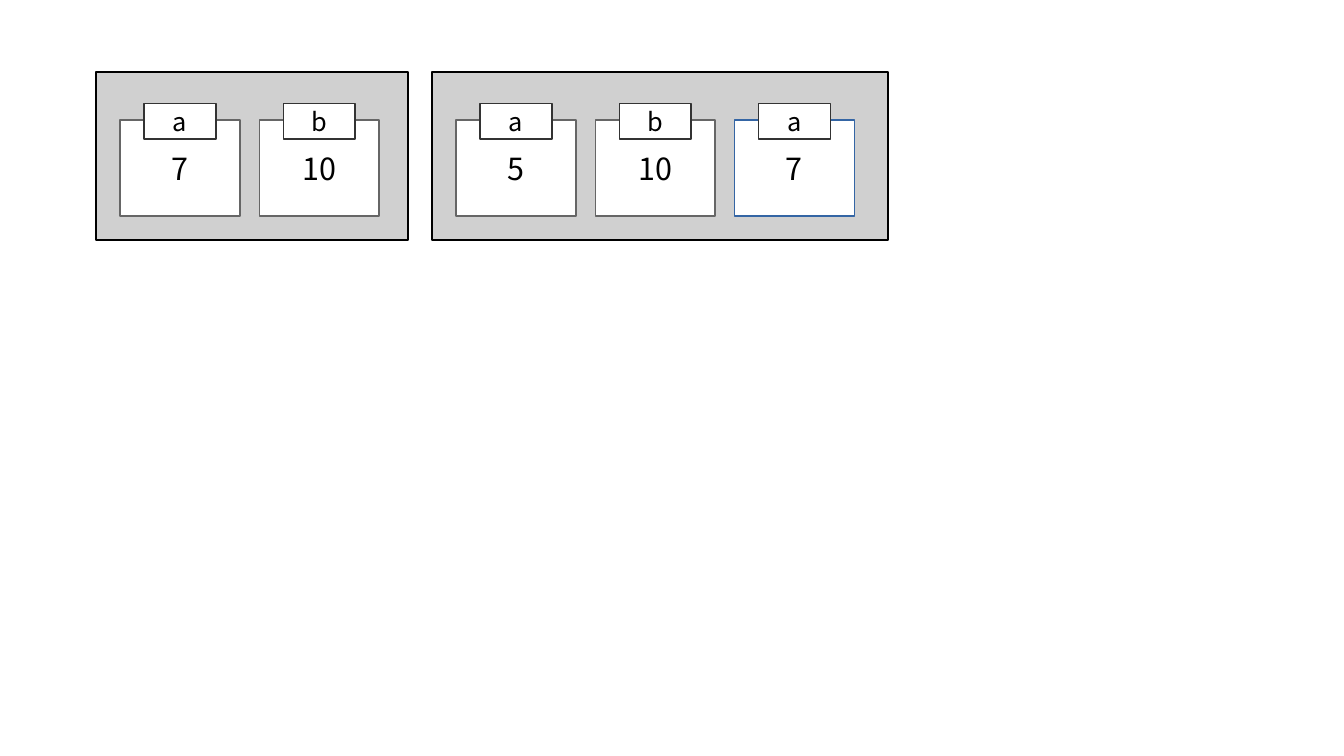
from pptx import Presentation
from pptx.dml.color import RGBColor
from pptx.enum.shapes import MSO_SHAPE as Shape
from pptx.enum.text import MSO_ANCHOR as Anchor, PP_ALIGN as Align
from pptx.util import Cm, Pt

BLACK = RGBColor(0x00, 0x00, 0x00)
WHITE = RGBColor(0xFF, 0xFF, 0xFF)
PANEL_GREY = RGBColor(0xD0, 0xD0, 0xD0)
CARD_GREY = RGBColor(0x66, 0x66, 0x66)
TAG_GREY = RGBColor(0x33, 0x33, 0x33)
BLUE = RGBColor(0x34, 0x65, 0xA4)

COLUMNS, ROWS = 56, 31.5
CARD_PITCH = 5.8


class RecordSlide:
    """Draws records of named values on a grid of half-centimetre cells."""

    font_name = "Noto Sans CJK KR"
    cell = Cm(0.5)

    def __init__(self, presentation):
        presentation.slide_width = int(COLUMNS * self.cell)
        presentation.slide_height = int(ROWS * self.cell)
        self.slide = presentation.slides.add_slide(presentation.slide_layouts[6])

    def box(self, column, row, columns, rows, fill, outline):
        place = (int(n * self.cell) for n in (column, row, columns, rows))
        box = self.slide.shapes.add_shape(Shape.RECTANGLE, *place)
        box.shadow.inherit = False
        box.fill.solid()
        box.fill.fore_color.rgb = fill
        box.line.color.rgb = outline
        box.line.width = Pt(0)
        return box

    def label(self, box, text, size):
        frame = box.text_frame
        frame.word_wrap = True
        frame.vertical_anchor = Anchor.MIDDLE
        paragraph = frame.paragraphs[0]
        paragraph.text = text
        paragraph.alignment = Align.CENTER
        paragraph.font.name = self.font_name
        paragraph.font.size = Pt(size)
        paragraph.font.color.rgb = BLACK

    def field(self, column, row, name, value, outline):
        card = self.box(column, row, 5, 4, WHITE, outline)
        self.label(card, value, 18)
        tag = self.box(column + 1, row - 0.7, 3, 1.5, WHITE, TAG_GREY)
        self.label(tag, name, 15)

    def record(self, column, row, columns, fields):
        self.box(column, row, columns, 7, PANEL_GREY, BLACK)
        for index, (name, value, outline) in enumerate(fields):
            self.field(column + 1 + index * CARD_PITCH, row + 2, name, value, outline)


def main():
    presentation = Presentation()
    records = RecordSlide(presentation)
    second = ("b", "10", CARD_GREY)
    records.record(18, 3, 19, [("a", "5", CARD_GREY), second, ("a", "7", BLUE)])
    records.record(4, 3, 13, [("a", "7", CARD_GREY), second])
    presentation.save("out.pptx")


if __name__ == "__main__":
    main()
